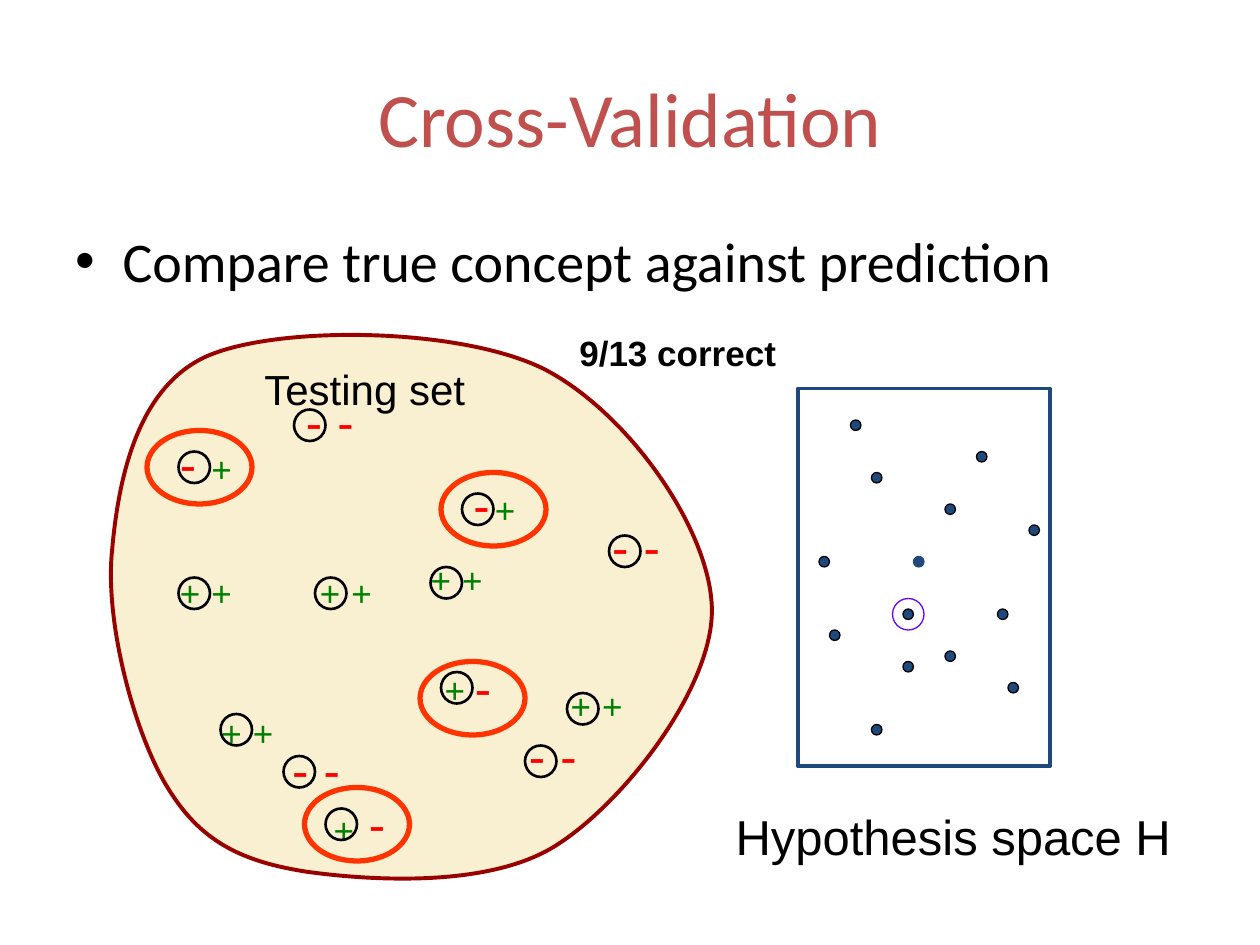
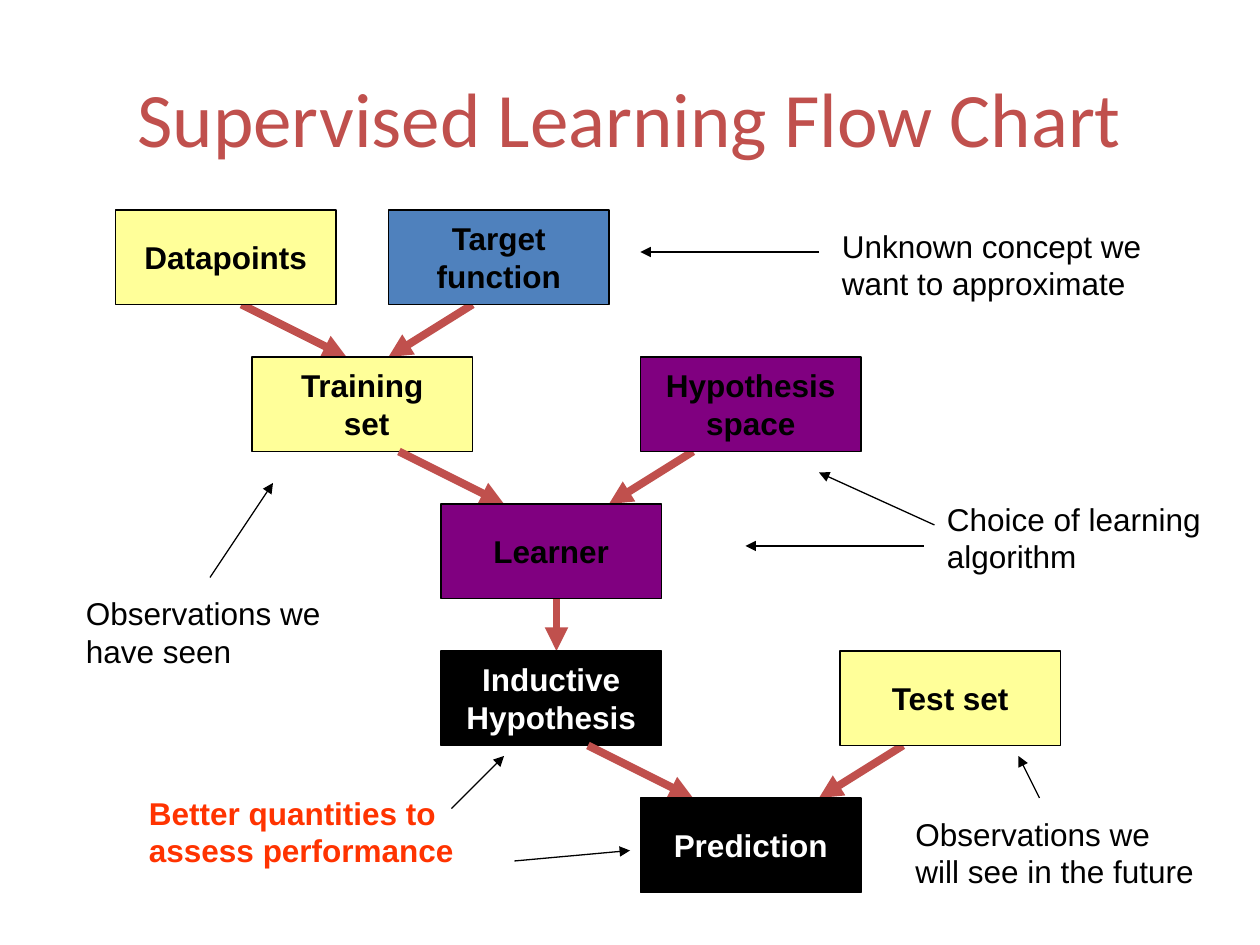
import dataclasses

import lxml.etree
import pptx
import pptx.dml.color
import pptx.enum.shapes
import pptx.enum.text
import pptx.oxml.ns
import pptx.presentation
import pptx.shapes.autoshape
import pptx.slide
import pptx.util

Inches = pptx.util.Inches
Align = pptx.enum.text.PP_ALIGN
Fit = pptx.enum.text.MSO_AUTO_SIZE
Kind = pptx.enum.shapes.MSO_SHAPE
Shape = pptx.shapes.autoshape.Shape
Slide = pptx.slide.Slide
qn = pptx.oxml.ns.qn


@dataclasses.dataclass(frozen=True)
class Theme:
    accent: str = "C0504D"
    black: str = "000000"
    white: str = "FFFFFF"
    navy: str = "1F497D"
    blue: str = "4F81BD"
    yellow: str = "FFFF99"
    purple: str = "800080"
    violet: str = "6600FF"
    cream: str = "F8F0D0"
    maroon: str = "990000"
    green: str = "008000"
    red: str = "FF0000"
    orange: str = "FF3300"
    title: int = 44
    body: int = 32
    large: int = 28
    medium: int = 24
    small: int = 20
    note: int = 18
    heading_font: str = "Calibri"
    label_font: str = "Arial"


THEME = Theme()


@dataclasses.dataclass(frozen=True)
class Style:
    size: int
    color: str = THEME.black
    bold: bool = False
    font: str = THEME.label_font
    align: Align = Align.LEFT


@dataclasses.dataclass(frozen=True)
class Sign:
    text: str
    x: float
    y: float


@dataclasses.dataclass(frozen=True)
class Case:
    """A test example: ring corner, true sign inside it, predicted sign beside it."""
    x: float
    y: float
    truth: Sign
    guess: Sign


@dataclasses.dataclass(frozen=True)
class Node:
    """A flow chart box; feeds holds the start and end x of each arrow into it."""
    text: str
    x: float
    row: int
    fill: str
    color: str = THEME.black
    feeds: tuple[tuple[float, float], ...] = ()


@dataclasses.dataclass(frozen=True)
class Note:
    """A remark with its arrows, each as x1, y1, x2, y2."""
    text: str
    x: float
    y: float
    width: float
    arrows: tuple[tuple[float, float, float, float], ...]
    style: Style = Style(THEME.note)


def pair(x: float, y: float, text: str, left: float, top: float) -> Case:
    """A case whose two signs agree."""
    return Case(x, y, Sign(text, left, top), Sign(text, left + 0.25, top))


SIGNS = {"+": (Style(THEME.small, THEME.green), 0.36, 0.43),
         "-": (Style(THEME.large, THEME.red), 0.33, 0.57)}
CASES = [
    pair(2.5, 4.58, "+", 2.44, 4.49),
    Case(3.5, 5.33, Sign("+", 3.43, 5.26), Sign("-", 3.67, 5.17)),
    pair(1.42, 4.58, "+", 1.33, 4.49),
    Case(2.58, 6.42, Sign("+", 2.55, 6.37), Sign("-", 2.83, 6.25)),
    pair(4.5, 5.5, "+", 4.43, 5.38),
    pair(1.75, 5.67, "+", 1.66, 5.6),
    pair(3.42, 4.5, "+", 3.32, 4.38),
    pair(4.17, 5.92, "-", 4.1, 5.71),
    Case(1.42, 3.58, Sign("-", 1.33, 3.39), Sign("+", 1.58, 3.5)),
    pair(2.25, 6, "-", 2.22, 5.82),
    Case(3.67, 3.92, Sign("-", 3.66, 3.72), Sign("+", 3.83, 3.83)),
    pair(4.83, 4.25, "-", 4.76, 4.05),
    pair(2.33, 3.25, "-", 2.33, 3.06),
]
MISSES = [(2.42, 6.25), (3.33, 5.25), (3.5, 3.75), (1.17, 3.42)]
DOTS = [(7.17, 4.83), (6.92, 3.75), (6.75, 3.33), (7.5, 4), (8.17, 4.17),
        (6.5, 4.42), (7.5, 5.17), (6.58, 5), (7.92, 4.83), (7.17, 5.25),
        (7.75, 3.58), (8, 5.42), (6.92, 5.75)]
START = (2.44, 6.92)
CURVES = [
    (1.92, 6.84), (1.59, 6.68), (1.33, 6.25),
    (1.07, 5.83), (0.83, 4.94), (0.89, 4.37),
    (0.94, 3.8), (1.09, 3.06), (1.66, 2.82),
    (2.24, 2.58), (3.66, 2.6), (4.32, 2.93),
    (4.98, 3.27), (5.63, 4.19), (5.65, 4.82),
    (5.67, 5.44), (4.97, 6.35), (4.43, 6.7),
    (3.9, 7.05), (2.95, 6.99), START,
]

NODE_W, NODE_H = 1.75, 0.75
NODES = [
    Node("Training\n set", 2, 1, THEME.yellow, feeds=((1.92, 2.75), (3.75, 3.08))),
    Node("Target\vfunction", 3.08, 0, THEME.blue),
    Node("Datapoints", 0.92, 0, THEME.yellow),
    Node("Inductive\vHypothesis", 3.5, 3, THEME.black, THEME.white, ((4.42, 4.42),)),
    Node("Prediction", 5.08, 4, THEME.black, THEME.white, ((4.67, 5.5), (7.17, 6.5))),
    Node("Learner", 3.5, 2, THEME.purple, feeds=((3.17, 4), (5.5, 4.83))),
    Node("Hypothesis\vspace", 5.08, 1, THEME.purple),
    Node("Test set", 6.67, 3, THEME.yellow),
]
NOTES = [
    Note("Choice of learning algorithm", 7.42, 3.92, 2.33,
         ((7.42, 4.17, 6.5, 3.75), (7.33, 4.33, 5.92, 4.33))),
    Note("Unknown concept we want to approximate", 6.58, 1.75, 2.75,
         ((6.5, 2, 5.08, 2),)),
    Note("Observations we have seen", 0.58, 4.67, 2.25, ((1.67, 4.58, 2.17, 3.83),)),
    Note("Observations we will see in the future", 7.17, 6.42, 2.42,
         ((8.25, 6.33, 8.08, 6),)),
    Note("Better quantities to assess performance", 1.08, 6.25, 3.25,
         ((3.58, 6.42, 4, 6), (4.08, 6.83, 5, 6.75)),
         Style(THEME.note, THEME.orange, True)),
]


def rgb(color: str) -> pptx.dml.color.RGBColor:
    return pptx.dml.color.RGBColor.from_string(color)


def snap(value: float) -> float:
    """Round to the drawing grid of twelve steps to the inch."""
    return round(value * 12) / 12


def write(shape: Shape, text: str, style: Style) -> None:
    shape.text_frame.text = text
    for para in shape.text_frame.paragraphs:
        para.alignment = style.align
        for run in para.runs:
            run.font.size = pptx.util.Pt(style.size)
            run.font.name = style.font
            run.font.bold = style.bold
            run.font.color.rgb = rgb(style.color)


def label(slide: Slide, text: str, x: float, y: float, width: float, height: float,
          style: Style, wrap: bool = True, fit: Fit = Fit.SHAPE_TO_FIT_TEXT) -> Shape:
    box = slide.shapes.add_textbox(Inches(x), Inches(y), Inches(width), Inches(height))
    box.text_frame.word_wrap = wrap
    box.text_frame.auto_size = fit
    write(box, text, style)
    return box


def mark(slide: Slide, sign: Sign) -> None:
    style, width, height = SIGNS[sign.text]
    label(slide, sign.text, sign.x, sign.y, width, height, style, wrap=False)


def paint(shape: Shape, fill: str | None, line: str, weight: float) -> None:
    shape.shadow.inherit = False
    if fill:
        shape.fill.solid()
        shape.fill.fore_color.rgb = rgb(fill)
    else:
        shape.fill.background()
    shape.line.color.rgb = rgb(line)
    shape.line.width = pptx.util.Pt(weight)


def draw(slide: Slide, kind: Kind, x: float, y: float, width: float, height: float,
         fill: str | None, line: str, weight: float) -> Shape:
    shape = slide.shapes.add_shape(
        kind, *(Inches(snap(value)) for value in (x, y, width, height)))
    paint(shape, fill, line, weight)
    return shape


def arrow(slide: Slide, ends: tuple[float, float, float, float],
          color: str = THEME.black, weight: float = 0.75) -> None:
    link = slide.shapes.add_connector(pptx.enum.shapes.MSO_CONNECTOR.STRAIGHT,
                                      *(Inches(snap(end)) for end in ends))
    link.line.color.rgb = rgb(color)
    link.line.width = pptx.util.Pt(weight)
    props = link.element.spPr
    lxml.etree.SubElement(props.find(qn("a:ln")), qn("a:tailEnd"), type="triangle")
    lxml.etree.SubElement(props, qn("a:effectLst"))


def start(deck: pptx.presentation.Presentation, title: str) -> Slide:
    """Add a slide with the shared title style."""
    slide = deck.slides.add_slide(deck.slide_layouts.get_by_name("Title Only"))
    head = slide.shapes.title
    head.left, head.top = Inches(0.5), Inches(0.3)
    head.width, head.height = Inches(9), Inches(1.25)
    write(head, title, Style(THEME.title, THEME.accent, font=THEME.heading_font,
                             align=Align.CENTER))
    return slide


def bullet(slide: Slide, text: str) -> None:
    box = label(slide, text, 0.5, 1.75, 9, 4.95,
                Style(THEME.body, font=THEME.heading_font), fit=Fit.NONE)
    for para in box.element.iter(qn("a:p")):
        props = para.get_or_add_pPr()
        props.set("marL", str(Inches(0.375)))
        props.set("indent", str(-Inches(0.375)))
        lxml.etree.SubElement(props, qn("a:buFont"), typeface=THEME.label_font)
        lxml.etree.SubElement(props, qn("a:buChar"), char="•")


def blob(slide: Slide) -> None:
    """Outline the testing set, joining each three points into one Bezier curve."""
    pen = slide.shapes.build_freeform(Inches(START[0]), Inches(START[1]))
    pen.add_line_segments([(Inches(x), Inches(y)) for x, y in CURVES], close=True)
    shape = pen.convert_to_shape()
    lines = list(shape.element.iter(qn("a:lnTo")))
    for first in range(0, len(CURVES), 3):
        curve = lxml.etree.Element(qn("a:cubicBezTo"))
        lines[first].addprevious(curve)
        for line in lines[first:first + 3]:
            curve.append(line[0])
            line.getparent().remove(line)
    paint(shape, THEME.cream, THEME.maroon, 2.25)


def cross(deck: pptx.presentation.Presentation) -> None:
    slide = start(deck, "Cross-Validation")
    bullet(slide, "Compare true concept against prediction")
    blob(slide)
    for case in CASES:
        mark(slide, case.truth)

    draw(slide, Kind.RECTANGLE, 6.33, 3.08, 2, 3, None, THEME.navy, 2.25)
    for x, y in DOTS:
        draw(slide, Kind.OVAL, x, y, 0.08, 0.08, THEME.navy, THEME.black, 0.75)
    draw(slide, Kind.OVAL, 7.25, 4.42, 0.08, 0.08, THEME.navy, THEME.navy, 0.75)
    draw(slide, Kind.OVAL, 7.08, 4.75, 0.25, 0.25, None, THEME.violet, 0.75)
    label(slide, "Hypothesis space H", 5.74, 6.35, 4, 0.57, Style(THEME.large))

    for case in CASES:
        draw(slide, Kind.OVAL, case.x, case.y, 0.25, 0.25, None, THEME.black, 1.5)
    label(slide, "Testing set", 2, snap(2.83), 4, 0.5, Style(THEME.medium))
    for case in CASES:
        mark(slide, case.guess)
    for x, y in MISSES:
        draw(slide, Kind.OVAL, x, y, 0.83, 0.58, None, THEME.orange, 3)
    label(slide, "9/13 correct", 4.5, snap(2.58), 2.17, 0.43,
          Style(THEME.small, bold=True))


def flow(deck: pptx.presentation.Presentation) -> None:
    slide = start(deck, "Supervised Learning Flow Chart")
    pitch = 7 / 6
    for node in NODES:
        top = 5 / 3 + node.row * pitch
        for tail, head in node.feeds:
            arrow(slide, (tail, top - pitch + NODE_H, head, top), THEME.accent, 4.5)
        box = draw(slide, Kind.RECTANGLE, node.x, top, NODE_W, NODE_H,
                   node.fill, THEME.black, 0.75)
        box.text_frame.word_wrap = False
        box.text_frame.vertical_anchor = pptx.enum.text.MSO_ANCHOR.MIDDLE
        write(box, node.text, Style(THEME.note, node.color, True, align=Align.CENTER))
    for note in NOTES:
        for ends in note.arrows:
            arrow(slide, ends)
        label(slide, note.text, snap(note.x), snap(note.y), note.width, 0.7, note.style)


def main() -> None:
    deck = pptx.Presentation()
    deck.slide_width, deck.slide_height = Inches(10), Inches(7.5)
    cross(deck)
    flow(deck)
    deck.save("out.pptx")


if __name__ == "__main__":
    main()
